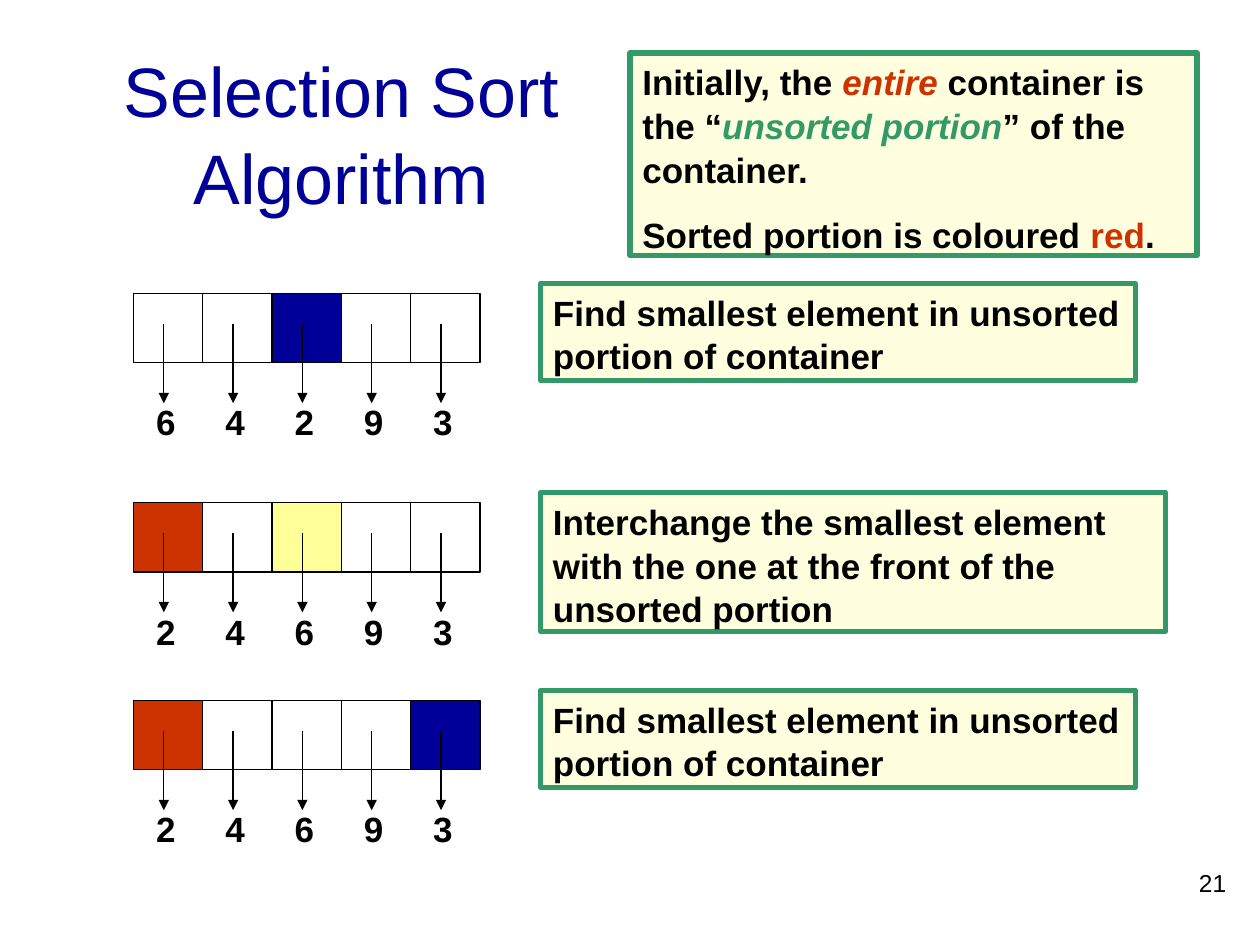
from lxml import etree
from pptx import Presentation
from pptx import util as u
from pptx.dml.color import RGBColor
from pptx.enum import shapes, text
from pptx.oxml.ns import qn

COLORS = {
    "black": "000000",
    "blue": "000099",
    "red": "CC3300",
    "yellow": "FFFF99",
    "green": "339966",
    "cream": "FFFFDF",
}
CELL = 0.55
ROW_LEFT = 1.06
FIND = [[("Find smallest element in unsorted portion of container", "black")]]
SWAP = [[("Interchange the smallest element with the one at the front "
          "of the unsorted portion", "black")]]
INTRO = [
    [("Initially, the ", "black"), ("entire", "red", True),
     (" container is the “", "black"), ("unsorted portion", "green", True),
     ("” of the container.", "black")],
    [("Sorted portion is coloured ", "black"), ("red", "red"), (".", "black")],
]
STEPS = [
    (2.33, "64293", {2: "blue"}, FIND, 4.72, 0.77),
    (3.99, "24693", {0: "red", 2: "yellow"}, SWAP, 4.96, 1.1),
    (5.56, "24693", {0: "red", 4: "blue"}, FIND, 4.72, 0.77),
]


class SlideBuilder:
    font = "Arial"
    line_spacing = 1.04

    def __init__(self, slide):
        self.slide = slide

    def color(self, name):
        return RGBColor.from_string(COLORS[name])

    def add_text(self, box, paragraphs, size=20, bold=True, align=text.PP_ALIGN.LEFT):
        frame = box.text_frame
        for index, spans in enumerate(paragraphs):
            para = frame.add_paragraph() if index else frame.paragraphs[0]
            para.alignment = align
            para.line_spacing = self.line_spacing
            para.space_before = u.Pt(12.5 if index else 0)
            for words, color, *italic in spans:
                span = para.add_run()
                span.text = words
                span.font.name = self.font
                span.font.size = u.Pt(size)
                span.font.bold = bold
                span.font.italic = bool(italic)
                span.font.color.rgb = self.color(color)

    def title(self, words, left, top, width, height):
        box = self.slide.shapes.title
        box.left, box.top = u.Inches(left), u.Inches(top)
        box.width, box.height = u.Inches(width), u.Inches(height)
        box.text_frame.vertical_anchor = text.MSO_ANCHOR.MIDDLE
        self.add_text(box, [[(words, "blue")]], 40, False, text.PP_ALIGN.CENTER)

    def rectangle(self, left, top, width, height, fill, line, weight):
        box = self.slide.shapes.add_shape(
            shapes.MSO_SHAPE.RECTANGLE,
            u.Inches(left), u.Inches(top), u.Inches(width), u.Inches(height))
        box.shadow.inherit = False
        if fill:
            box.fill.solid()
            box.fill.fore_color.rgb = self.color(fill)
        else:
            box.fill.background()
        box.line.color.rgb = self.color(line)
        box.line.width = u.Pt(weight)
        return box

    def note(self, paragraphs, left, top, width, height):
        box = self.rectangle(left, top, width, height, "cream", "green", 3)
        box.text_frame.word_wrap = True
        box.text_frame.vertical_anchor = text.MSO_ANCHOR.TOP
        self.add_text(box, paragraphs)

    def label(self, words, left, top, width, height, wrap=False, **style):
        box = self.slide.shapes.add_textbox(
            u.Inches(left), u.Inches(top), u.Inches(width), u.Inches(height))
        box.text_frame.word_wrap = wrap
        self.add_text(box, [[(words, "black")]], **style)

    def arrow(self, x, top, bottom):
        line = self.slide.shapes.add_connector(
            shapes.MSO_CONNECTOR.STRAIGHT,
            u.Inches(x), u.Inches(top), u.Inches(x), u.Inches(bottom))
        line.line.color.rgb = self.color("black")
        line.line.width = u.Pt(0.75)
        properties = line._element.spPr
        etree.SubElement(properties.find(qn("a:ln")), qn("a:tailEnd"), type="triangle")
        etree.SubElement(properties, qn("a:effectLst"))

    def container(self, top, digits, fills):
        lefts = [ROW_LEFT + CELL * index for index in range(len(digits))]
        for index, left in enumerate(lefts):
            self.rectangle(left, top, CELL, CELL, fills.get(index), "black", 0.75)
        for digit, left in zip(digits, lefts):
            self.label(digit, left + 0.08, top + 0.79, 0.36, 0.44)
            self.arrow(left + 0.24, top + 0.24, top + 0.87)


def main():
    deck = Presentation()
    deck.slide_width, deck.slide_height = u.Inches(10), u.Inches(7.5)
    page = SlideBuilder(deck.slides.add_slide(deck.slide_layouts[5]))
    page.title("Selection Sort Algorithm", 0.75, 0.17, 3.92, 1.75)
    for top, digits, fills, words, width, height in STEPS:
        page.container(top, digits, fills)
        page.note(words, 4.29, top - 0.08, width, height)
    page.note(INTRO, 5, 0.42, 4.5, 1.61)
    page.label("21", 7.75, 6.83, 2.08, 0.5, wrap=True,
               size=14, bold=False, align=text.PP_ALIGN.RIGHT)
    deck.save("out.pptx")


if __name__ == "__main__":
    main()
